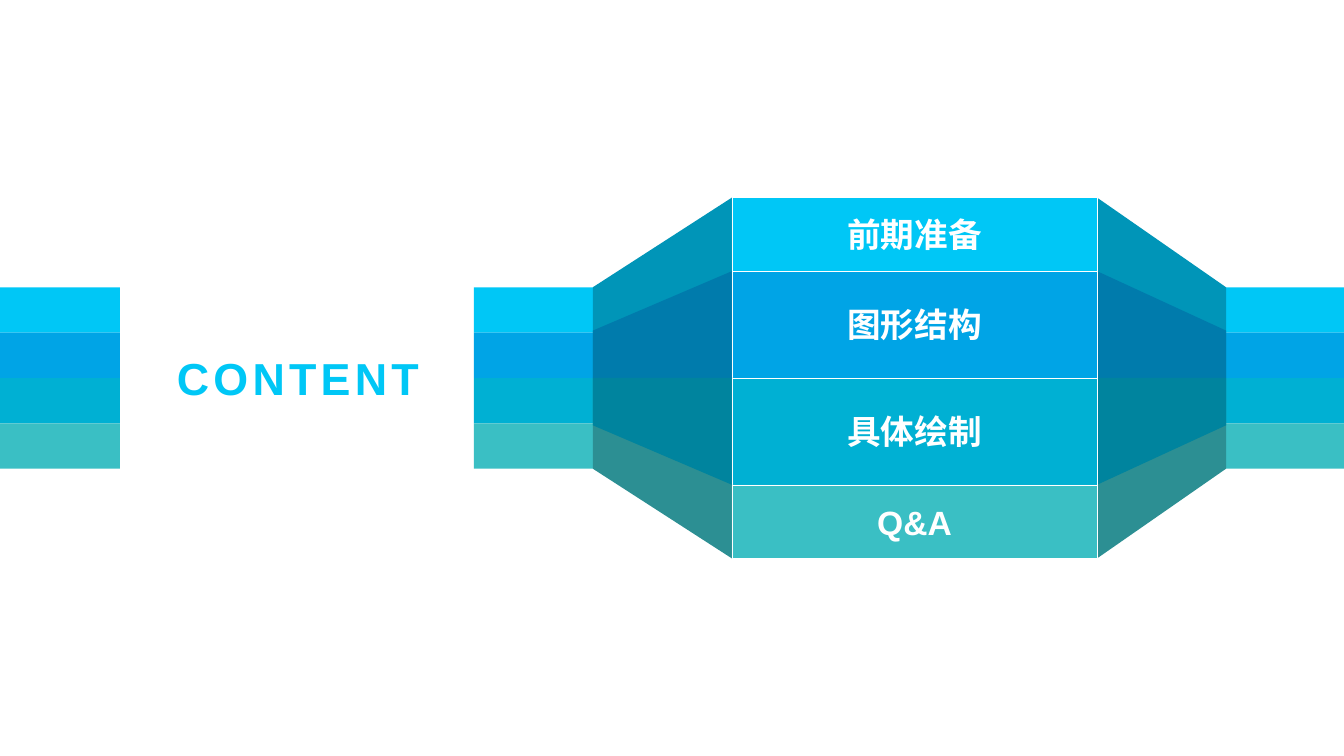
from dataclasses import dataclass

from pptx import Presentation
from pptx.dml.color import RGBColor
from pptx.enum.shapes import MSO_SHAPE
from pptx.enum.text import MSO_ANCHOR, MSO_AUTO_SIZE, PP_ALIGN
from pptx.util import Inches, Pt

RECTANGLE = MSO_SHAPE.RECTANGLE
MIDDLE = MSO_ANCHOR.MIDDLE
NO_AUTOFIT = MSO_AUTO_SIZE.NONE
CENTER = PP_ALIGN.CENTER

TITLE = "CONTENT"
SECTIONS = ["前期准备", "图形结构", "具体绘制", "Q&A"]


@dataclass(frozen=True)
class Theme:
    font: str = "Arial"
    title_size: int = 32
    section_size: int = 24
    letter_spacing: int = 300
    line_width: float = 0.25
    white: str = "FFFFFF"
    bands: tuple = ("00C7F6", "00A4E6", "00B0D3", "3ABFC4")
    shades: tuple = ("0095B8", "007BAC", "00849E", "2C8F93")


THEME = Theme()
SLIDE_WIDTH, SLIDE_HEIGHT = 13.33, 7.5
CENTER_Y = SLIDE_HEIGHT / 2
STRIPE_HEIGHT = 0.45
STRIPE_TOP = CENTER_Y - 2 * STRIPE_HEIGHT
STRIPES = [(0, 1.19), (4.7, 1.18), (12.14, 1.19)]
PANEL_LEFT, PANEL_WIDTH = 7.26, 3.62
PANEL_EDGES = [1.96, 2.69, CENTER_Y, 4.81, 5.54]
NARROW_EDGES = [2.85, 3.28, CENTER_Y, 4.22, 4.65]
FACETS = [(5.88, PANEL_LEFT), (12.16, PANEL_LEFT + PANEL_WIDTH)]
OUTER_TO_INNER = [(0, 0), (3, 4), (1, 1), (2, 3)]


def paint(shape, color):
    shape.shadow.inherit = False
    shape.fill.solid()
    shape.fill.fore_color.rgb = RGBColor.from_string(color)
    shape.line.fill.background()


def add_band(slide, left, top, width, height, color):
    shape = slide.shapes.add_shape(
        RECTANGLE, Inches(left), Inches(top), Inches(width), Inches(height))
    paint(shape, color)
    return shape


def add_facet(slide, points, color):
    corners = [(Inches(x), Inches(y)) for x, y in points]
    builder = slide.shapes.build_freeform(*corners[0])
    builder.add_line_segments(corners[1:], close=True)
    paint(builder.convert_to_shape(), color)


def write(shape, text, size, color):
    frame = shape.text_frame
    frame.auto_size = NO_AUTOFIT
    frame.word_wrap = False
    frame.vertical_anchor = MIDDLE
    paragraph = frame.paragraphs[0]
    paragraph.alignment = CENTER
    run = paragraph.add_run()
    run.text = text
    run.font.name = THEME.font
    run.font.size = Pt(size)
    run.font.bold = True
    run.font.color.rgb = RGBColor.from_string(color)
    return run


def add_title(slide):
    title = slide.shapes.title
    title.left, title.top = Inches(1.22), Inches(STRIPE_TOP)
    title.width, title.height = Inches(3.47), Inches(4 * STRIPE_HEIGHT)
    run = write(title, TITLE, THEME.title_size, THEME.bands[0])
    run.font._element.set("spc", str(THEME.letter_spacing))


def add_stripes(slide):
    for left, width in STRIPES:
        for row, color in enumerate(THEME.bands):
            add_band(slide, left, STRIPE_TOP + row * STRIPE_HEIGHT,
                     width, STRIPE_HEIGHT, color)


def add_facets(slide):
    for narrow_x, panel_x in FACETS:
        for row, edge in OUTER_TO_INNER:
            points = [(narrow_x, CENTER_Y), (narrow_x, NARROW_EDGES[edge]),
                      (panel_x, PANEL_EDGES[edge]), (panel_x, CENTER_Y)]
            add_facet(slide, points, THEME.shades[row])


def add_panel(slide):
    edges = zip(PANEL_EDGES, PANEL_EDGES[1:])
    for section, color, (top, bottom) in zip(SECTIONS, THEME.bands, edges):
        band = add_band(slide, PANEL_LEFT, top, PANEL_WIDTH, bottom - top, color)
        band.line.color.rgb = RGBColor.from_string(THEME.white)
        band.line.width = Pt(THEME.line_width)
        write(band, section, THEME.section_size, THEME.white)


def main():
    presentation = Presentation()
    presentation.slide_width = Inches(SLIDE_WIDTH)
    presentation.slide_height = Inches(SLIDE_HEIGHT)
    slide = presentation.slides.add_slide(presentation.slide_layouts[5])
    add_title(slide)
    add_stripes(slide)
    add_facets(slide)
    add_panel(slide)
    presentation.save("out.pptx")


if __name__ == "__main__":
    main()
